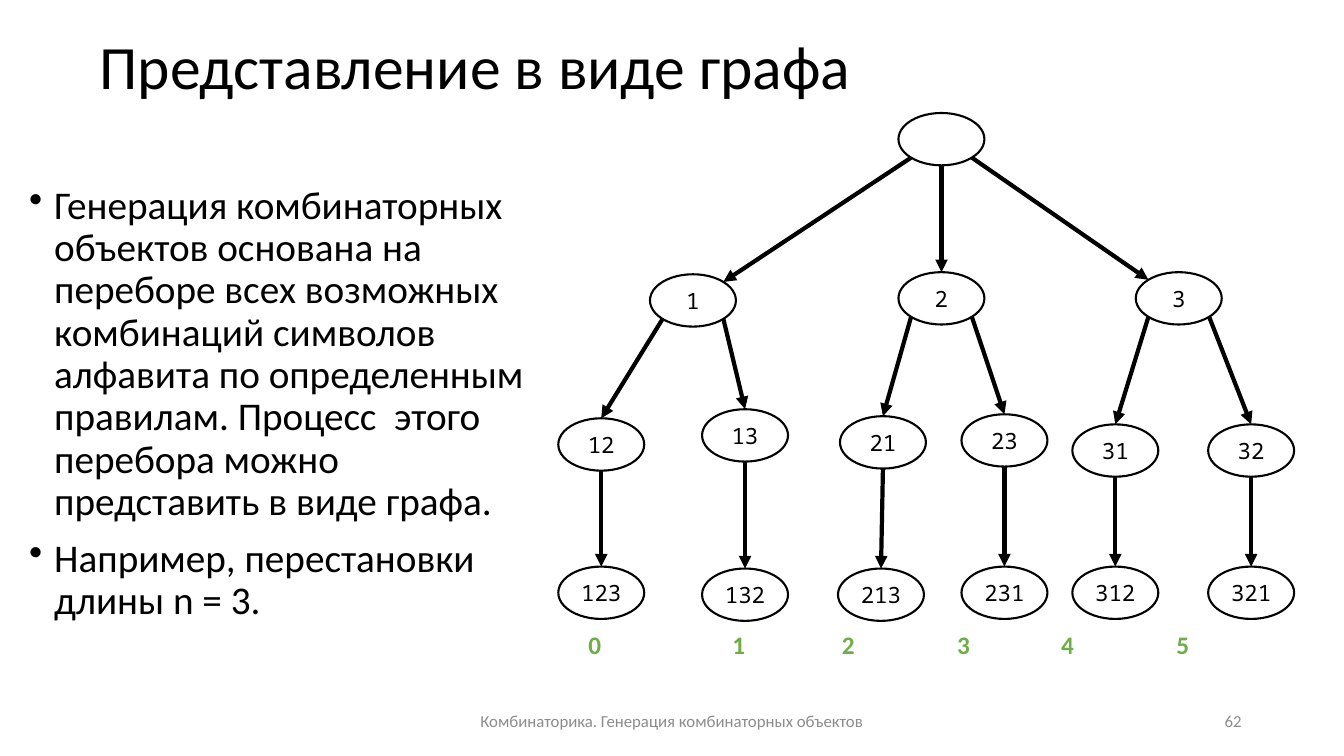
from itertools import accumulate

from lxml.etree import SubElement
from pptx import Presentation
from pptx.dml.color import RGBColor
from pptx.enum.shapes import MSO_CONNECTOR as Connector, MSO_SHAPE as Shape
from pptx.enum.text import MSO_ANCHOR as Anchor, PP_ALIGN as Align
from pptx.oxml.ns import qn
from pptx.util import Pt

BLACK = RGBColor(0x00, 0x00, 0x00)
WHITE = RGBColor(0xFF, 0xFF, 0xFF)
GRAY = RGBColor(0x8C, 0x8C, 0x8C)
GREEN = RGBColor(0x70, 0xAD, 0x47)

NODE_WIDTH, NODE_HEIGHT = 61.4, 37.4
CORNER = 0.5 ** 0.5

NODE_CENTERS = {
    "": (672.5, 99.4),
    "1": (495, 214.6),
    "2": (672.5, 213.1),
    "3": (842, 213.1),
    "12": (429.5, 317.5),
    "13": (532.2, 311),
    "21": (630.7, 316),
    "23": (717.5, 314.6),
    "31": (796.7, 321.8),
    "32": (893.7, 321.8),
    "123": (429.5, 423.4),
    "132": (532.2, 424.8),
    "213": (629.3, 424.8),
    "231": (717.5, 423.4),
    "312": (796.7, 423.4),
    "321": (893.7, 423.4),
}
NUMBER_GAPS = [102.7, 78.3, 82.4, 74.2, 82.4]

IDEAS = [
    "Генерация комбинаторных объектов основана на переборе всех возможных "
    "комбинаций символов алфавита по определенным правилам. Процесс  этого "
    "перебора можно представить в виде графа.",
    "Например, перестановки длины n = 3.",
]


class GraphSlide:
    font = "Calibri"
    node_font = "Noto Sans Mono"

    def __init__(self, presentation):
        self.slide = presentation.slides.add_slide(presentation.slide_layouts[6])
        self.shapes = self.slide.shapes

    def style(self, paragraph, size, color=BLACK, font=None, bold=False):
        for run in paragraph.runs:
            run.font.name = font or self.font
            run.font.size = Pt(size)
            run.font.color.rgb = color
            run.font.bold = bold

    def text(self, content, box, size, color=BLACK, align=Align.LEFT,
             anchor=Anchor.MIDDLE, bold=False):
        frame = self.shapes.add_textbox(*map(Pt, box)).text_frame
        frame.word_wrap = True
        frame.vertical_anchor = anchor
        frame.text = content
        for paragraph in frame.paragraphs:
            paragraph.alignment = align
            self.style(paragraph, size, color, bold=bold)
        return frame

    def title(self, content, box):
        self.text(content, box, 44).paragraphs[0].line_spacing = 0.9

    def bullets(self, items, box):
        frame = self.text("\n".join(items), box, 28, anchor=Anchor.TOP)
        for index, paragraph in enumerate(frame.paragraphs):
            properties = paragraph._p.get_or_add_pPr()
            properties.set("marL", str(Pt(18)))
            properties.set("indent", str(-Pt(18)))
            SubElement(properties, qn("a:buChar"), char="•")
            paragraph.line_spacing = 0.9
            paragraph.space_before = Pt(10 if index else 0)

    def numbers(self, gaps, box):
        content = "\t".join(str(number) for number in range(len(gaps) + 1))
        frame = self.text(content, box, 18, GREEN, anchor=Anchor.TOP, bold=True)
        properties = frame.paragraphs[0]._p.get_or_add_pPr()
        tabs = SubElement(properties, qn("a:tabLst"))
        for stop in accumulate(gaps):
            SubElement(tabs, qn("a:tab"), pos=str(Pt(stop)), algn="l")

    def node(self, label, center):
        x, y = center
        ellipse = self.shapes.add_shape(
            Shape.OVAL, Pt(x - NODE_WIDTH / 2), Pt(y - NODE_HEIGHT / 2),
            Pt(NODE_WIDTH), Pt(NODE_HEIGHT))
        ellipse.shadow.inherit = False
        ellipse.fill.solid()
        ellipse.fill.fore_color.rgb = WHITE
        ellipse.line.color.rgb = BLACK
        ellipse.line.width = Pt(1.5)
        frame = ellipse.text_frame
        frame.margin_left = frame.margin_right = 0
        frame.word_wrap = False
        frame.vertical_anchor = Anchor.MIDDLE
        if label:
            frame.text = label
            frame.paragraphs[0].alignment = Align.CENTER
            self.style(frame.paragraphs[0], 16, font=self.node_font)
        return ellipse

    def edge(self, parent_center, child_center, child, from_root):
        (x1, y1), (x2, y2) = parent_center, child_center
        shift = x2 - x1
        side = 0 if abs(shift) < 5 else (1 if shift > 0 else -1)
        dx = side * CORNER * NODE_WIDTH / 2
        dy = NODE_HEIGHT / 2 * (CORNER if side else 1)
        to_corner = from_root and side
        end = (x2 - dx, y2 - dy) if to_corner else (x2, y2 - NODE_HEIGHT / 2)
        arrow = self.shapes.add_connector(
            Connector.STRAIGHT, Pt(x1 + dx), Pt(y1 + dy), *map(Pt, end))
        if not to_corner:
            arrow.end_connect(child, 0)
        arrow.line.color.rgb = BLACK
        arrow.line.width = Pt(3)
        SubElement(arrow.line._get_or_add_ln(), qn("a:tailEnd"), type="triangle")
        SubElement(arrow._element.spPr, qn("a:effectLst"))

    def tree(self, centers):
        nodes = {label: self.node(label, center) for label, center in centers.items()}
        for label, center in centers.items():
            if label:
                parent = label[:-1]
                self.edge(centers[parent], center, nodes[label], parent == "")


def main():
    presentation = Presentation()
    presentation.slide_width, presentation.slide_height = Pt(960), Pt(540)
    graph = GraphSlide(presentation)
    graph.title("Представление в виде графа", (64, -2.2, 828, 104.4))
    graph.bullets(IDEAS, (13.7, 128.9, 377.3, 342.7))
    graph.tree(NODE_CENTERS)
    graph.text("Комбинаторика. Генерация комбинаторных объектов",
               (318, 500.5, 324, 28.8), 12, GRAY, Align.CENTER)
    graph.text("62", (678, 500.5, 216, 28.8), 12, GRAY, Align.RIGHT)
    graph.numbers(NUMBER_GAPS, (413.3, 445.7, 496, 29))
    presentation.save("out.pptx")


if __name__ == "__main__":
    main()
